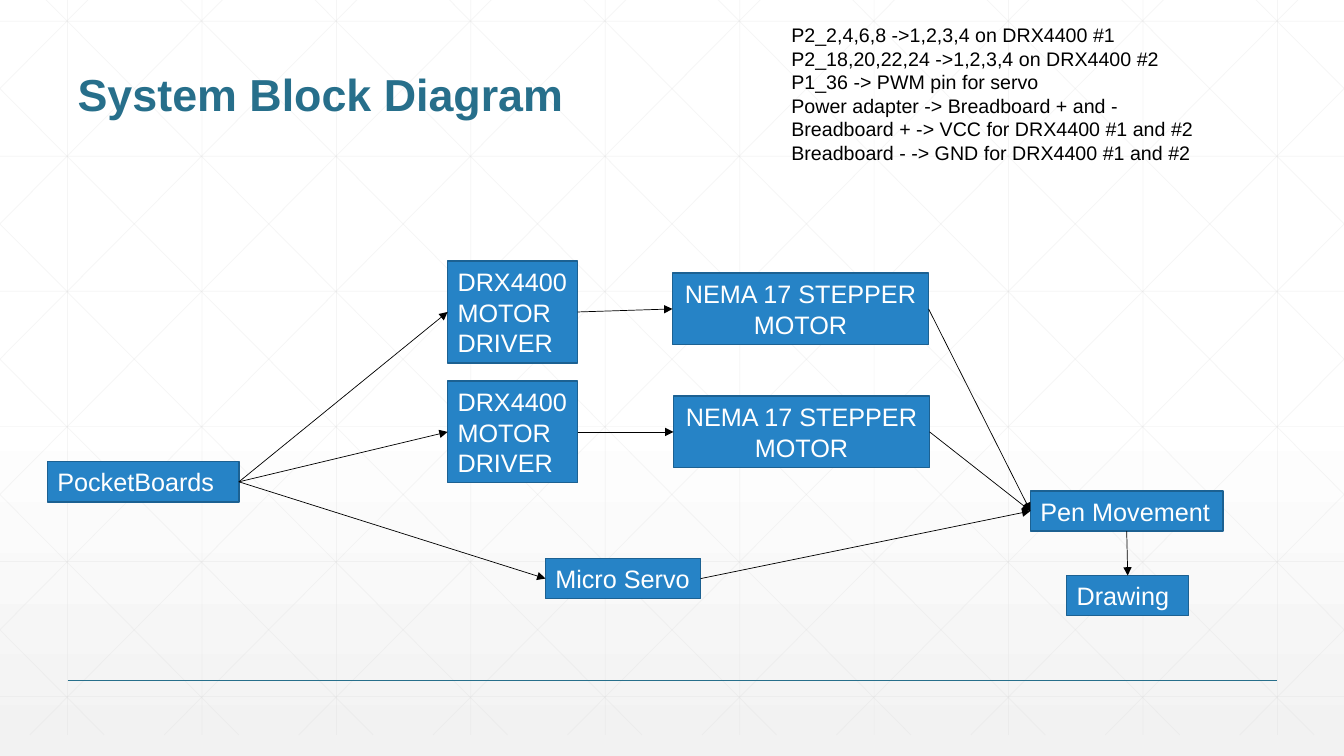
"""Build the system block diagram slide."""
from copy import deepcopy

from pptx import Presentation
from pptx import util as u
from pptx.dml.color import RGBColor
from pptx.enum import shapes, text
from pptx.oxml import ns, xmlchemy

TEAL = RGBColor(0x27, 0x6F, 0x8B)
BLUE = RGBColor(0x26, 0x83, 0xC6)
NAVY = RGBColor(0x1C, 0x61, 0x92)
GRAY = RGBColor(0xD9, 0xD9, 0xD9)
PALE = RGBColor(0xF2, 0xF2, 0xF2)
WHITE = RGBColor(0xFF, 0xFF, 0xFF)
BLACK = RGBColor(0, 0, 0)
FONT = "Arial"
WIDTH, HEIGHT = 13.33, 7.5
TOP, LEFT, BOTTOM, RIGHT = range(4)

DRIVER = "DRX4400 MOTOR DRIVER"
STEPPER = "NEMA 17 STEPPER MOTOR"
BLOCKS = {
    "board": ("PocketBoards", (0.47, 4.58, 1.9, 0.4)),
    "driver 1": (DRIVER, (4.44, 2.59, 1.29, 1.01)),
    "driver 2": (DRIVER, (4.44, 3.78, 1.29, 1.01)),
    "stepper 1": (STEPPER, (6.67, 2.71, 2.54, 0.71)),
    "stepper 2": (STEPPER, (6.68, 3.93, 2.54, 0.71)),
    "servo": ("Micro Servo", (5.41, 5.54, 1.54, 0.4)),
    "pen": ("Pen Movement", (10.22, 4.87, 1.91, 0.4)),
    "drawing": ("Drawing", (10.58, 5.71, 1.21, 0.4)),
}
FLOWS = [
    ("board", "driver 1"), ("board", "driver 2"), ("board", "servo"),
    ("driver 1", "stepper 1"), ("driver 2", "stepper 2"),
    ("stepper 1", "pen"), ("stepper 2", "pen"), ("servo", "pen"),
]
WIRING = [
    "P2_2,4,6,8 ->1,2,3,4 on DRX4400 #1",
    "P2_18,20,22,24 ->1,2,3,4 on DRX4400 #2",
    "P1_36 -> PWM pin for servo",
    "Power adapter -> Breadboard + and -",
    "Breadboard + -> VCC for DRX4400 #1 and #2",
    "Breadboard - -> GND for DRX4400 #1 and #2",
]


def inches(values):
    """Convert numbers to lengths."""
    return [u.Inches(value) for value in values]


def place(shape, box):
    """Move a shape to a box of left, top, width and height."""
    shape.left, shape.top, shape.width, shape.height = inches(box)


def add_span(para, words, size, color, bold=False):
    """Add one formatted run to a paragraph."""
    span = para.add_run()
    span.text = words
    span.font.name, span.font.size = FONT, u.Pt(size)
    span.font.color.rgb, span.font.bold = color, bold


def add_line(parent, start, end, color, weight):
    """Add a straight line without a shadow."""
    line = parent.add_connector(shapes.MSO_CONNECTOR.STRAIGHT, *inches(start + end))
    line.line.color.rgb, line.line.width = color, u.Pt(weight)
    line._element.spPr.append(xmlchemy.OxmlElement("a:effectLst"))
    return line


def add_arrow(page, source, source_side, target, target_side):
    """Join two blocks with an arrow."""
    arrow = add_line(page.shapes, (0, 0), (1, 1), BLACK, 0.5)
    arrow.begin_connect(source, source_side)
    arrow.end_connect(target, target_side)
    head = xmlchemy.OxmlElement("a:tailEnd")
    head.set("type", "triangle")
    arrow.line._get_or_add_ln().append(head)


def paint_background(page):
    """Fade the page from white to pale gray."""
    fill = page.background.fill
    fill.gradient()
    fill.gradient_angle = 270
    first = next(page._element.iter(ns.qn("a:gs")))
    first.addnext(deepcopy(first))
    for stop, position, color in zip(fill.gradient_stops, (0, 0.53, 1), (WHITE, WHITE, PALE)):
        stop.position, stop.color.rgb = position, color


def clip(start, end, width):
    """Cut a line sloping down to the right at the left and right edges."""
    (x1, y1), (x2, y2) = start, end
    slope = (y2 - y1) / (x2 - x1)
    left, right = max(x1, 0), min(x2, width)
    return (left, y1 + (left - x1) * slope), (right, y1 + (right - x1) * slope)


def add_lattice(page, box):
    """Draw the faint square and diagonal lattice."""
    left, top, width, height = box
    bottom, step = top + height, 4 / 3
    lines = [((0.67 + step * i, top), (0.67 + step * i, bottom)) for i in range(10)]
    lines += [((0, 0.21 + 1.34 * i), (width, 0.21 + 1.34 * i)) for i in range(6)]
    for i in range(-5, 10):
        x = 0.25 + step * i
        start, end = clip((x, top), (x + 7.45, bottom), width)
        lines.append((start, end))
        lines.append(((width - start[0], start[1]), (width - end[0], end[1])))
    group = page.shapes.add_group_shape()
    for start, end in lines:
        line = add_line(group.shapes, (left + start[0], start[1]),
                        (left + end[0], end[1]), GRAY, 0.5)
        alpha = xmlchemy.OxmlElement("a:alpha")
        alpha.set("val", "25000")
        next(line._element.iter(ns.qn("a:srgbClr"))).append(alpha)


def add_title(page, box):
    """Fill the title placeholder and bring it above the lattice."""
    title = page.shapes.title
    place(title, box)
    page.shapes._spTree.append(title._element)
    frame = title.text_frame
    frame.word_wrap, frame.auto_size = True, text.MSO_AUTO_SIZE.NONE
    frame.vertical_anchor = text.MSO_ANCHOR.BOTTOM
    para = frame.paragraphs[0]
    para.alignment, para.line_spacing = text.PP_ALIGN.LEFT, 0.9
    add_span(para, "System Block Diagram", 32, TEAL, bold=True)


def add_block(page, words, box):
    """Add one labelled block of the diagram."""
    block = page.shapes.add_shape(shapes.MSO_SHAPE.RECTANGLE, *inches(box))
    block.shadow.inherit = False
    block.fill.solid()
    block.fill.fore_color.rgb = BLUE
    block.line.color.rgb, block.line.width = NAVY, u.Pt(1)
    frame = block.text_frame
    frame.word_wrap, frame.auto_size = True, text.MSO_AUTO_SIZE.SHAPE_TO_FIT_TEXT
    para = frame.paragraphs[0]
    para.alignment = text.PP_ALIGN.CENTER if words == STEPPER else text.PP_ALIGN.LEFT
    add_span(para, words, 18, WHITE)
    return block


def add_diagram(page, origin):
    """Draw the blocks and the arrows between them."""
    blocks = {}
    for name, (words, (left, top, width, height)) in BLOCKS.items():
        box = (origin[0] + left, origin[1] + top, width, height)
        blocks[name] = add_block(page, words, box)
    for source, target in FLOWS:
        add_arrow(page, blocks[source], RIGHT, blocks[target], LEFT)
    add_arrow(page, blocks["pen"], BOTTOM, blocks["drawing"], TOP)


def add_wiring(page, box):
    """List the pin connections."""
    frame = page.shapes.add_textbox(*inches(box)).text_frame
    frame.word_wrap, frame.auto_size = True, text.MSO_AUTO_SIZE.SHAPE_TO_FIT_TEXT
    para = frame.paragraphs[0]
    for index, words in enumerate(WIRING):
        if index:
            para.add_line_break()
        add_span(para, words, 14, BLACK)


def build():
    """Create and save the deck."""
    deck = Presentation()
    deck.slide_width, deck.slide_height = inches((WIDTH, HEIGHT))
    page = deck.slides.add_slide(deck.slide_layouts[5])
    paint_background(page)
    add_lattice(page, (0, -0.21, WIDTH, HEIGHT))
    add_line(page.shapes, (0.67, 6.75), (12.67, 6.75), TEAL, 1)
    add_title(page, (0.67, 0.25, 12, 1))
    add_diagram(page, (0, 0))
    add_wiring(page, (7.75, 0.18, 6.15, 1.75))
    deck.save("out.pptx")


build()
